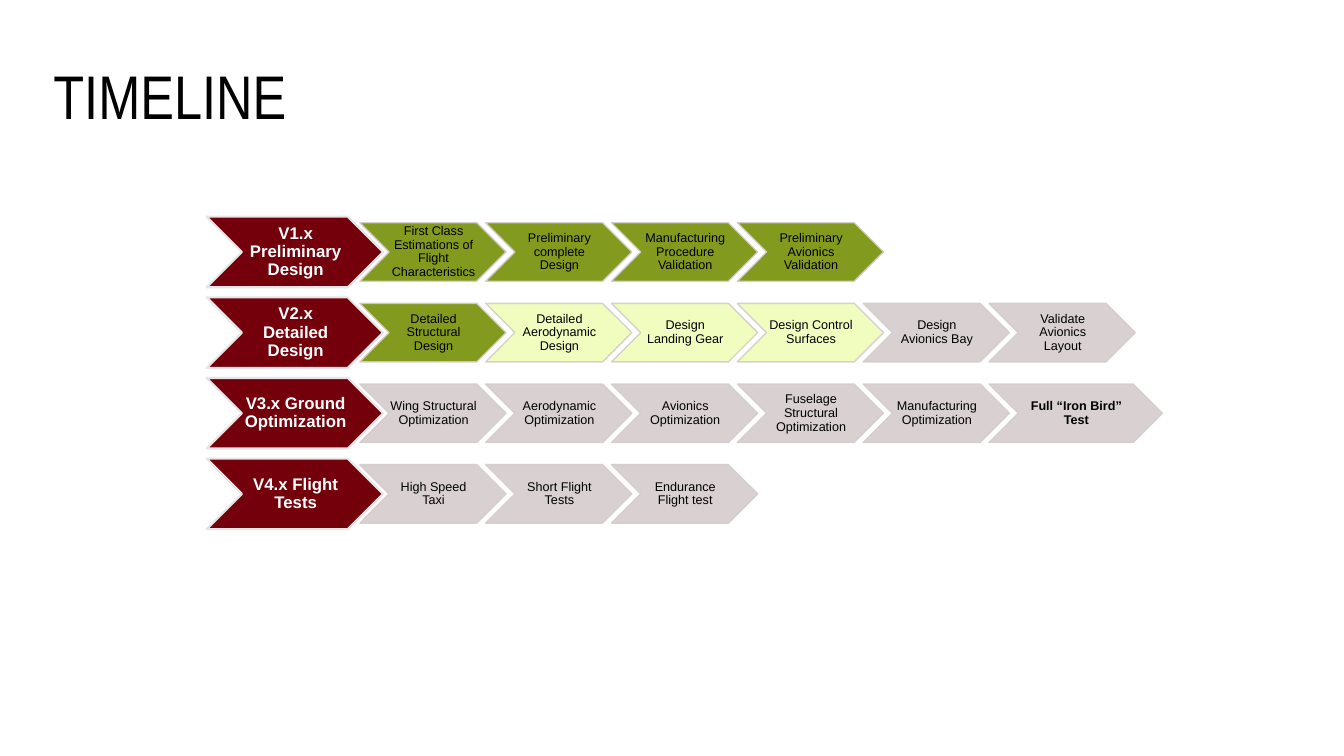
from dataclasses import dataclass

from lxml.etree import SubElement
from pptx import Presentation
from pptx.dml.color import RGBColor
from pptx.enum.shapes import MSO_SHAPE as Shape
from pptx.enum.text import MSO_ANCHOR as Anchor, MSO_AUTO_SIZE as AutoSize, PP_ALIGN as Align
from pptx.oxml.ns import qn
from pptx.slide import Slide
from pptx.util import Pt

COLORS = {
    "stage": "73000A", "stage_line": "E7E6E6", "step_line": "D5CCCC",
    "done": "759005", "active": "EFFDB9", "planned": "D5CCCC",
    "black": "000000", "white": "FFFFFF",
}


@dataclass(frozen=True)
class Style:
    height: float
    line: str
    line_width: float
    size: float
    color: str
    inset_left: float
    inset_edge: float
    opacity: int = 100


@dataclass(frozen=True)
class Step:
    text: str
    status: str = "planned"
    width: float = 104.4
    bold: bool = False


@dataclass(frozen=True)
class Phase:
    name: str
    steps: tuple[Step, ...]


STAGE_STYLE = Style(50.4, "stage_line", 1.5, 12, "white", 1.2, 0.6)
STEP_STYLE = Style(41.76, "step_line", 1, 9, "black", 0.9, 0.45, 90)

STAGE_LEFT, STAGE_WIDTH = 147.6, 126
FIRST_CENTER, ROW_PITCH = 180, 57.6
STEP_LEFT, STEP_PITCH = 257.04, 89.88

PHASES = (
    Phase("V1.x Preliminary Design", (
        Step("First Class Estimations of Flight Characteristics", "done"),
        Step("Preliminary complete Design", "done"),
        Step("Manufacturing Procedure Validation", "done"),
        Step("Preliminary Avionics Validation", "done"),
    )),
    Phase("V2.x Detailed Design", (
        Step("Detailed Structural Design", "done"),
        Step("Detailed Aerodynamic Design", "active"),
        Step("Design Landing Gear", "active"),
        Step("Design Control Surfaces", "active"),
        Step("Design Avionics Bay"),
        Step("Validate Avionics Layout"),
    )),
    Phase("V3.x Ground Optimization", (
        Step("Wing Structural Optimization"),
        Step("Aerodynamic Optimization"),
        Step("Avionics Optimization"),
        Step("Fuselage Structural Optimization"),
        Step("Manufacturing Optimization"),
        Step("Full “Iron Bird” Test", width=123.84, bold=True),
    )),
    Phase("V4.x Flight Tests", (
        Step("High Speed Taxi"),
        Step("Short Flight Tests"),
        Step("Endurance Flight test"),
    )),
)


def rgb(name: str) -> RGBColor:
    return RGBColor.from_string(COLORS[name])


def set_attributes(target: object, values: dict) -> None:
    for name, value in values.items():
        setattr(target, name, value)


def add_chevron(page: Slide, left: float, center: float, width: float,
                text: str, fill: str, style: Style, bold: bool) -> None:
    box = page.shapes.add_shape(Shape.CHEVRON, Pt(left), Pt(center - style.height / 2),
                                Pt(width), Pt(style.height))
    box.shadow.inherit = False
    box.fill.solid()
    box.fill.fore_color.rgb = rgb(fill)
    box.line.color.rgb = rgb(style.line)
    box.line.width = Pt(style.line_width)
    # Transparency of fill and outline
    if style.opacity < 100:
        for color in box.element.spPr.iter(qn("a:srgbClr")):
            SubElement(color, qn("a:alpha"), val=str(style.opacity * 1000))
    # Label
    frame = box.text_frame
    set_attributes(frame, {
        "word_wrap": True, "vertical_anchor": Anchor.MIDDLE,
        "margin_left": Pt(style.inset_left), "margin_right": 0,
        "margin_top": Pt(style.inset_edge), "margin_bottom": Pt(style.inset_edge),
    })
    para = frame.paragraphs[0]
    set_attributes(para, {"alignment": Align.CENTER, "line_spacing": 0.9})
    span = para.add_run()
    span.text = text
    set_attributes(span.font, {"name": "Arial", "size": Pt(style.size), "bold": bold})
    span.font.color.rgb = rgb(style.color)


def add_title(page: Slide, text: str) -> None:
    title = page.shapes.title
    set_attributes(title, {"left": Pt(30.96), "top": Pt(18.72),
                           "width": Pt(828), "height": Pt(104.4)})
    set_attributes(title.text_frame, {"word_wrap": True, "auto_size": AutoSize.NONE,
                                      "vertical_anchor": Anchor.MIDDLE})
    para = title.text_frame.paragraphs[0]
    set_attributes(para, {"alignment": Align.LEFT, "line_spacing": 0.9})
    span = para.add_run()
    span.text = text
    set_attributes(span.font, {"name": "Arial Narrow", "size": Pt(44)})
    span.font.color.rgb = rgb("black")


def add_phase(page: Slide, phase: Phase, center: float) -> None:
    add_chevron(page, STAGE_LEFT, center, STAGE_WIDTH, phase.name, "stage", STAGE_STYLE, True)
    for column, step in enumerate(phase.steps):
        add_chevron(page, STEP_LEFT + column * STEP_PITCH, center, step.width,
                    step.text, step.status, STEP_STYLE, step.bold)


def main() -> None:
    deck = Presentation()
    set_attributes(deck, {"slide_width": Pt(960), "slide_height": Pt(540)})
    page = deck.slides.add_slide(deck.slide_layouts[5])
    add_title(page, "TIMELINE")
    # One row of chevrons per phase
    for row, phase in enumerate(PHASES):
        add_phase(page, phase, FIRST_CENTER + row * ROW_PITCH)
    deck.save("out.pptx")


if __name__ == "__main__":
    main()
